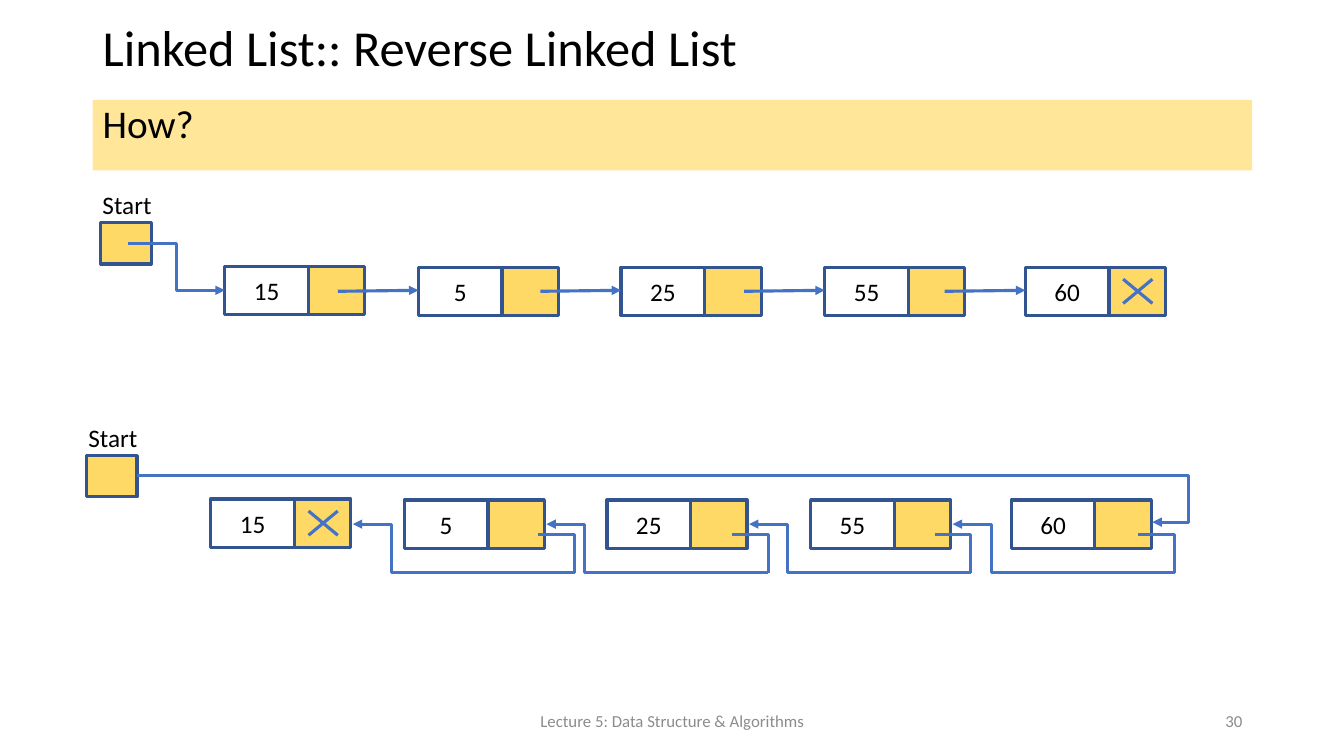
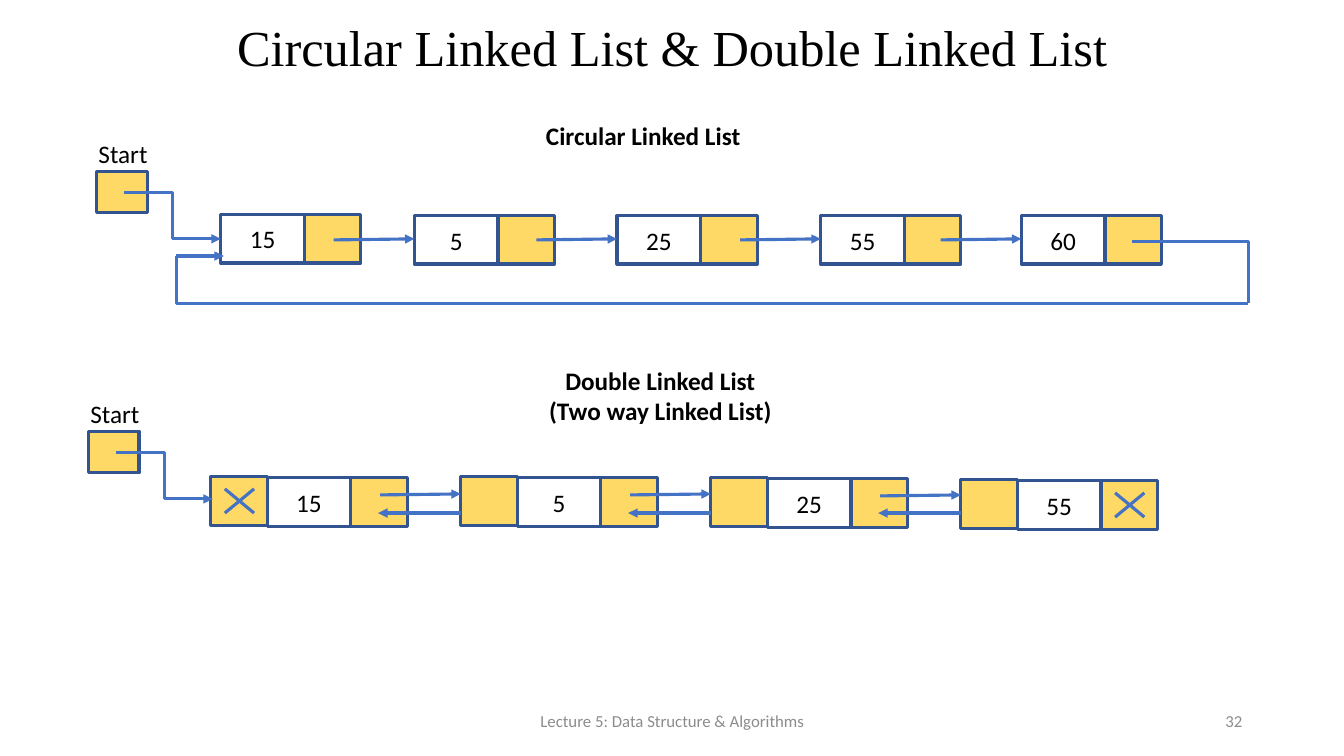
from dataclasses import dataclass

from pptx import Presentation
from pptx.dml.color import RGBColor
from pptx.enum.shapes import MSO_CONNECTOR, MSO_SHAPE
from pptx.enum.text import MSO_ANCHOR, PP_ALIGN
from pptx.oxml.ns import qn
from pptx.util import Inches, Pt
from lxml.etree import SubElement


@dataclass(frozen=True)
class Theme:
    """Colours, fonts and sizes shared by the slides."""
    ink: str = "000000"
    muted: str = "8C8C8C"
    band: str = "FFE699"
    cell: str = "FFD966"
    border: str = "325491"
    link: str = "4472C4"
    font: str = "Calibri"
    serif: str = "Times New Roman"
    title: int = 36
    lead: int = 28
    body: int = 18
    small: int = 12
    stroke: float = 2.25


T = Theme()

# Node geometry, in inches
DATA_W, LINK_W, NODE_H = 0.83, 0.56, 0.48
NODE_W = DATA_W + LINK_W
START_W, START_H = 0.5, 0.41
ARROW = 0.8
VALUES = ("15", "5", "25", "55", "60")
# Node offsets from the Start cell
NODES = ((1.23, 0.43), (3.15, 0.44), (5.16, 0.44), (7.18, 0.44), (9.17, 0.44))
DOUBLE_LEFT, DOUBLE_STEP = 1.21, 2.48
DOUBLE_TOPS = (0.46, 0.46, 0.47, 0.49)


def rgb(code):
    """Turn a hex code into a colour."""
    return RGBColor.from_string(code)


def write(sp, text, size=T.body, color=T.ink, font=T.font, bold=False,
          align=PP_ALIGN.CENTER, anchor=MSO_ANCHOR.MIDDLE, spacing=None):
    """Fill a shape with formatted text, one paragraph per line."""
    tf = sp.text_frame
    tf.word_wrap = True
    tf.vertical_anchor = anchor
    for i, line in enumerate(text.split("\n")):
        p = tf.add_paragraph() if i else tf.paragraphs[0]
        p.alignment = align
        if spacing:
            p.line_spacing = spacing
        r = p.add_run()
        r.text = line
        r.font.name = font
        r.font.size = Pt(size)
        r.font.bold = bold
        r.font.color.rgb = rgb(color)


def label(s, box, text, **fmt):
    """Add a text box."""
    write(s.shapes.add_textbox(*map(Inches, box)), text, **fmt)


def rect(s, box, fill=None, line=T.border):
    """Add a rectangle; without a colour, fill or line is left off."""
    sp = s.shapes.add_shape(MSO_SHAPE.RECTANGLE, *map(Inches, box))
    sp.shadow.inherit = False
    if fill:
        sp.fill.solid()
        sp.fill.fore_color.rgb = rgb(fill)
    else:
        sp.fill.background()
    if line:
        sp.line.color.rgb = rgb(line)
        sp.line.width = Pt(T.stroke)
    else:
        sp.line.fill.background()
    return sp


def link(s, x1, y1, x2, y2, arrow=True, bend=None):
    """Add a straight line, or an elbow whose upright stands at x = bend."""
    kind = MSO_CONNECTOR.STRAIGHT if bend is None else MSO_CONNECTOR.ELBOW
    cn = s.shapes.add_connector(kind, *map(Inches, (x1, y1, x2, y2)))
    cn.line.color.rgb = rgb(T.link)
    cn.line.width = Pt(T.stroke)
    props = cn._element.spPr
    if bend is not None:
        ratio = round((bend - x1) / (x2 - x1) * 100000)
        guides = props.find(qn("a:prstGeom")).find(qn("a:avLst"))
        SubElement(guides, qn("a:gd"), name="adj1", fmla=f"val {ratio}")
    if arrow:
        SubElement(props.find(qn("a:ln")), qn("a:tailEnd"), type="triangle")
    SubElement(props, qn("a:effectLst"))


def base_slide(prs, title, number, **fmt):
    """Add a slide with its title, footer and page number."""
    s = prs.slides.add_slide(prs.slide_layouts[6])
    label(s, (0.92, 0.15, 11.5, 0.7), title, size=T.title, spacing=0.9, **fmt)
    foot = dict(size=T.small, color=T.muted)
    label(s, (4.42, 6.95, 4.5, 0.4), "Lecture 5: Data Structure & Algorithms", **foot)
    label(s, (9.42, 6.95, 3, 0.4), number, align=PP_ALIGN.RIGHT, **foot)
    return s


def question_band(s, box, text):
    """Draw the coloured band with its lead text."""
    write(rect(s, box, T.band, None), text, size=T.lead, spacing=0.9,
          align=PP_ALIGN.LEFT, anchor=MSO_ANCHOR.TOP)


def start_cell(s, x, y):
    """Draw the Start pointer with its label above."""
    rect(s, (x, y, START_W, START_H), T.cell)
    label(s, (x - 0.22, y - 0.38, 0.96, 0.4), "Start", anchor=MSO_ANCHOR.TOP)


def start_link(s, x, y):
    """Lead from the Start cell to the first node."""
    link(s, x + 0.27, y + 0.21, x + 1.23, y + 0.67, bend=x + 0.75)


def node(s, x, y, value):
    """Draw a data cell and the link cell to its right."""
    write(rect(s, (x, y, DATA_W, NODE_H)), value)
    rect(s, (x + DATA_W, y, LINK_W, NODE_H), T.cell)


def null_mark(s, x, y):
    """Cross out the link cell at x, y."""
    left, right, top, bottom = x + 0.14, x + 0.43, y + 0.12, y + 0.36
    link(s, left, top, right, bottom, arrow=False)
    link(s, right, top, left, bottom, arrow=False)


def node_row(s, x, y):
    """Draw Start and the five nodes; return the node positions."""
    start_cell(s, x, y)
    places = [(x + dx, y + dy) for dx, dy in NODES]
    for place, value in zip(places, VALUES):
        node(s, *place, value)
    return places


def forward_list(s, x, y):
    """Draw a list linked from left to right; return the node positions."""
    places = node_row(s, x, y)
    for nx, _ in places[1:]:
        link(s, nx - ARROW, y + 0.68, nx, y + 0.67)
    start_link(s, x, y)
    return places


def ended_list(s, x, y):
    """Draw a forward list whose last node points nowhere."""
    nx, ny = forward_list(s, x, y)[-1]
    null_mark(s, nx + DATA_W, ny)


def reversed_list(s, x, y):
    """Draw the list with every link turned round."""
    places = node_row(s, x, y)
    first_x, first_y = places[0]
    null_mark(s, first_x + DATA_W, first_y)
    link(s, x + START_W, y + 0.2, places[-1][0] + NODE_W + 0.01, y + 0.66,
         bend=x + 10.93)
    for nx, _ in places[:-1]:
        tip = nx + NODE_W + 0.02
        outer = tip + 2.2
        link(s, tip + 1.84, y + 0.78, outer, y + 1.16, arrow=False, bend=outer)
        link(s, outer, y + 1.16, tip, y + 0.68, bend=tip + 0.38)


def circular_list(s, x, y):
    """Draw a forward list whose last node leads back to the first."""
    forward_list(s, x, y)
    right, left = x + 11.42, x + 0.79
    link(s, x + 10.27, y + 0.7, right, y + 1.31, arrow=False, bend=right)
    link(s, right, y + 1.31, left, y + 0.84, arrow=False, bend=left)
    link(s, left, y + 0.84, x + 1.26, y + 0.84)


def double_list(s, x, y):
    """Draw a list linked in both directions."""
    start_cell(s, x, y)
    places = [(x + DOUBLE_LEFT + i * DOUBLE_STEP, y + dy)
              for i, dy in enumerate(DOUBLE_TOPS)]
    for (nx, ny), value in zip(places, VALUES):
        rect(s, (nx, ny - 0.01, LINK_W, NODE_H), T.cell)
        node(s, nx + LINK_W, ny, value)
    for (_, ny), (nx, _) in zip(places, places[1:]):
        link(s, nx - ARROW, ny + 0.17, nx, ny + 0.16)
        link(s, nx, y + 0.81, nx - 0.82, y + 0.81)
    start_link(s, x, y)
    null_mark(s, places[0][0], places[0][1] - 0.01)
    null_mark(s, places[-1][0] + NODE_W, places[-1][1])


def reverse_slide(prs):
    """Build the slide on reversing a list."""
    s = base_slide(prs, "Linked List:: Reverse Linked List", "30",
                   align=PP_ALIGN.LEFT)
    question_band(s, (0.92, 0.99, 11.5, 0.7), "How?")
    ended_list(s, 1, 2.21)
    reversed_list(s, 0.86, 4.52)


def variants_slide(prs):
    """Build the slide on circular and double lists."""
    s = base_slide(prs, "Circular Linked List & Double Linked List", "32",
                   font=T.serif)
    heading = dict(bold=True, anchor=MSO_ANCHOR.TOP)
    label(s, (5.15, 1.14, 2.46, 0.71), "Circular Linked List", **heading)
    circular_list(s, 0.96, 1.7)
    label(s, (5.32, 3.57, 2.46, 0.71),
          "Double Linked List\n(Two way Linked List)", **heading)
    double_list(s, 0.88, 4.28)


prs = Presentation()
prs.slide_width, prs.slide_height = Inches(13.33), Inches(7.5)
reverse_slide(prs)
variants_slide(prs)
prs.save("out.pptx")
